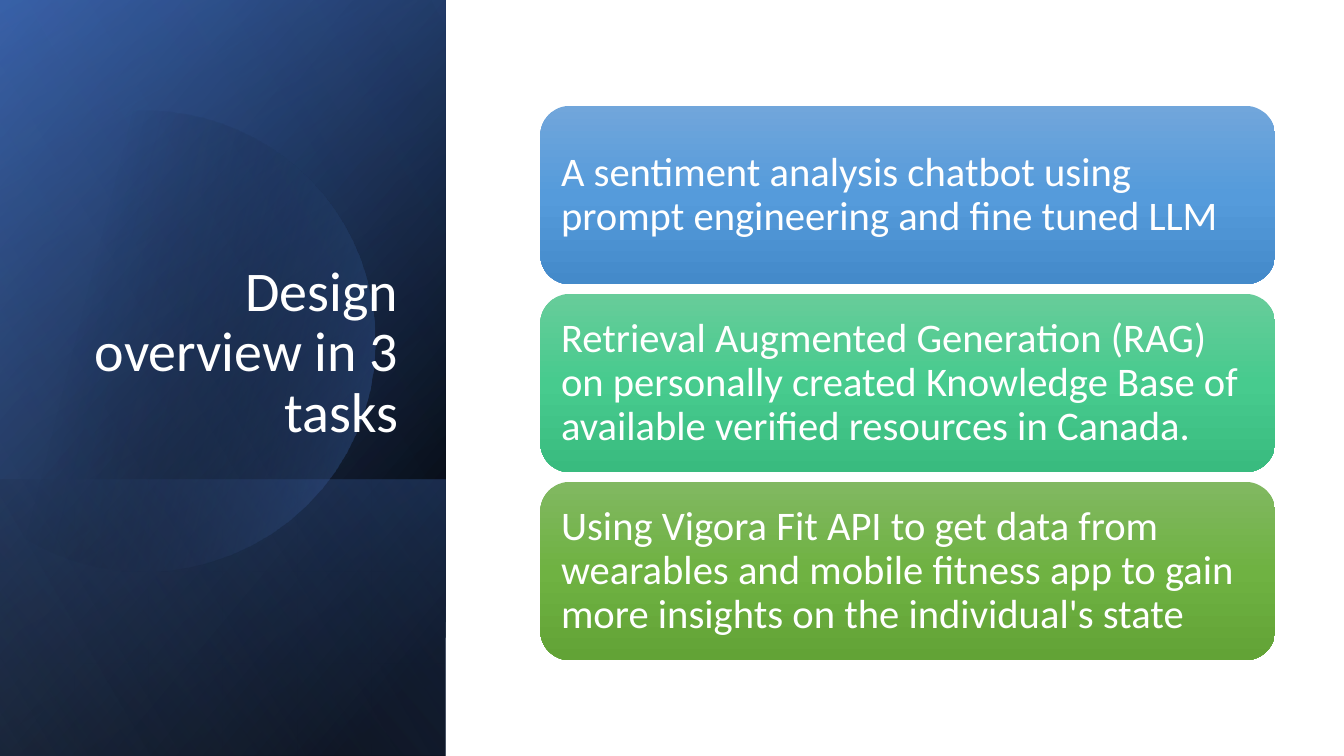
import pptx
import pptx.dml.color
import pptx.enum.shapes
import pptx.enum.text
import pptx.oxml
import pptx.oxml.ns
import pptx.util

RGB = pptx.dml.color.RGBColor
SHAPES = pptx.enum.shapes.MSO_SHAPE
ALIGN = pptx.enum.text.PP_ALIGN
ANCHOR = pptx.enum.text.MSO_ANCHOR

SLIDE_WIDTH = pptx.util.Inches(13.333)
SLIDE_HEIGHT = pptx.util.Inches(7.5)
FONT = "Calibri"

WHITE = RGB(0xFF, 0xFF, 0xFF)
BLACK = RGB(0x00, 0x00, 0x00)
NAVY = RGB(0x2F, 0x55, 0x97)
BLUE = RGB(0x44, 0x72, 0xC4)
PALE_BLUE = RGB(0x8F, 0xAA, 0xDC)

# Each task: its text and its gradient from top to bottom
TASKS = [
    ("A sentiment analysis chatbot using prompt engineering and fine tuned LLM",
     (RGB(0x71, 0xA6, 0xDB), RGB(0x55, 0x9B, 0xDB), RGB(0x44, 0x8A, 0xCA))),
    ("Retrieval Augmented Generation (RAG) on personally created Knowledge Base "
     "of available verified resources in Canada.",
     (RGB(0x67, 0xCC, 0x9A), RGB(0x47, 0xCB, 0x8E), RGB(0x39, 0xBB, 0x7F))),
    ("Using Vigora Fit API to get data from wearables and mobile fitness app "
     "to gain more insights on the individual's state",
     (RGB(0x81, 0xB8, 0x61), RGB(0x6F, 0xB2, 0x42), RGB(0x62, 0xA3, 0x36))),
]

# Disc outline in inches: Bezier segments (two controls, end), then corners
DISC_START = (1.49, 1.1)
DISC_RIGHT = [
    ((2.46, 1.12), (3.35, 1.77), (3.63, 2.75)),
    ((3.98, 3.97), (3.28, 5.23), (2.07, 5.58)),
    ((1.31, 5.8), (0.53, 5.61), (-0.03, 5.14)),
]
DISC_CORNERS = [(-0.15, 5.03), (-0.15, 1.75), (0, 1.61)]
DISC_TOP = [
    ((0.23, 1.42), (0.5, 1.28), (0.8, 1.19)),
    ((1.03, 1.13), (1.26, 1.1), DISC_START),
]


def across(percent):
    return round(SLIDE_WIDTH * percent / 100)


def down(percent):
    return round(SLIDE_HEIGHT * percent / 100)


def paint_gradient(shape, stops, angle):
    """Fill with stops of (position %, colour, opacity %), without an outline."""
    stop_xml = "".join(
        f'<a:gs pos="{position * 1000}"><a:srgbClr val="{colour}">'
        f'<a:alpha val="{opacity * 1000}"/></a:srgbClr></a:gs>'
        for position, colour, opacity in stops)
    gradient = pptx.oxml.parse_xml(
        f'<a:gradFill {pptx.oxml.ns.nsdecls("a")} rotWithShape="1">'
        f'<a:gsLst>{stop_xml}</a:gsLst>'
        f'<a:lin ang="{angle * 60000}" scaled="0"/></a:gradFill>')
    shape.shadow.inherit = False
    shape.line.fill.background()
    shape.fill.background()
    properties = shape._element.spPr
    properties.replace(properties.find(pptx.oxml.ns.qn("a:noFill")), gradient)


def add_panel(page, top, height, stops, angle):
    """Layer of the side panel: a mirrored rectangle turned a quarter."""
    width = across(33.15)
    shift = (width - height) // 2
    panel = page.shapes.add_shape(
        SHAPES.RECTANGLE, shift, top - shift, height, width)
    panel.rotation = 90
    panel._element.spPr.xfrm.set("flipH", "1")
    paint_gradient(panel, stops, angle)


def curve_points(start, segments, steps=16):
    points = []
    for first, second, end in segments:
        for step in range(1, steps + 1):
            t = step / steps
            u = 1 - t
            points.append(tuple(
                u**3 * a + 3 * u**2 * t * b + 3 * u * t**2 * c + t**3 * d
                for a, b, c, d in zip(start, first, second, end)))
        start = end
    return points


def add_disc(page):
    points = (curve_points(DISC_START, DISC_RIGHT) + DISC_CORNERS
              + curve_points(DISC_CORNERS[-1], DISC_TOP))
    inches = pptx.util.Inches
    builder = page.shapes.build_freeform(*map(inches, DISC_START))
    builder.add_line_segments([(inches(x), inches(y)) for x, y in points])
    disc = builder.convert_to_shape()
    paint_gradient(disc, [(29, BLACK, 0), (100, BLUE, 43)], 14)


def write_text(box, text, size, align, anchor):
    frame = box.text_frame
    frame.word_wrap = True
    frame.vertical_anchor = anchor
    para = frame.paragraphs[0]
    para.alignment = align
    para.line_spacing = 0.9
    span = para.add_run()
    span.text = text
    span.font.name = FONT
    span.font.size = pptx.util.Pt(size)
    span.font.color.rgb = WHITE


def add_title(page, text):
    box = page.shapes.add_textbox(
        across(4.8), down(24.53), across(25.57), down(34.93))
    write_text(box, text, 40, ALIGN.RIGHT, ANCHOR.BOTTOM)


def add_task_card(page, row, text, colours):
    card = page.shapes.add_shape(
        SHAPES.ROUNDED_RECTANGLE, across(40.2), down(14 + 24.87 * row),
        across(54.68), down(23.6))
    paint_gradient(
        card, [(50 * i, colour, 100) for i, colour in enumerate(colours)], 90)
    frame = card.text_frame
    frame.margin_left = frame.margin_right = pptx.util.Inches(0.12)
    frame.margin_top = frame.margin_bottom = pptx.util.Inches(0.12)
    write_text(card, text, 29, ALIGN.LEFT, ANCHOR.MIDDLE)


def main():
    deck = pptx.Presentation()
    deck.slide_width = SLIDE_WIDTH
    deck.slide_height = SLIDE_HEIGHT
    page = deck.slides.add_slide(deck.slide_layouts[6])

    # Side panel, from back to front
    add_panel(page, 0, down(100), [(8, BLACK, 100), (100, NAVY, 100)], 50)
    add_panel(page, 0, down(100), [(0, BLACK, 0), (99, BLUE, 46)], 30)
    add_panel(page, down(63.47), down(36.53),
              [(2, BLUE, 29), (100, BLACK, 30)], 130)
    add_disc(page)
    add_panel(page, 0, down(100), [(0, BLACK, 0), (99, PALE_BLUE, 11)], 120)
    add_title(page, "Design overview in 3 tasks")

    # Task cards
    for row, (text, colours) in enumerate(TASKS):
        add_task_card(page, row, text, colours)

    deck.save("out.pptx")


if __name__ == "__main__":
    main()
